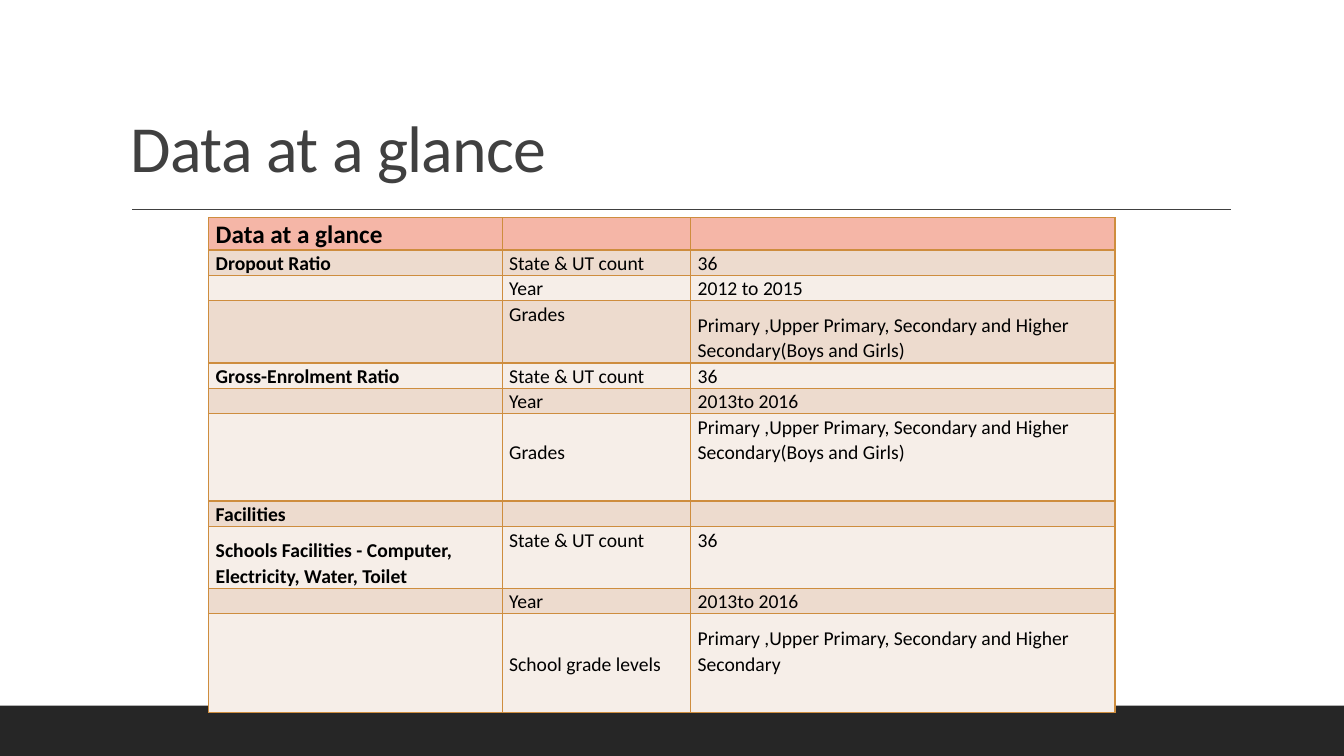
from lxml.etree import SubElement as Sub
from pptx import Presentation
from pptx.dml.color import RGBColor as RGB
from pptx.enum.shapes import MSO_CONNECTOR as Link, MSO_SHAPE as Shape
from pptx.enum.text import MSO_ANCHOR as Anchor
from pptx.oxml.ns import qn
from pptx.util import Inches, Pt

DARK = RGB(0x26, 0x26, 0x26)
GREY = RGB(0x40, 0x40, 0x40)
BLACK = RGB(0, 0, 0)
EDGE = RGB(0xCE, 0x8D, 0x3E)
HEAD = RGB(0xF5, 0xB6, 0xA7)
BANDS = RGB(0xF6, 0xEE, 0xE8), RGB(0xED, 0xDB, 0xCE)
FONT = "Calibri"
COUNT = "State & UT count"
LEVELS = "Primary ,Upper Primary, Secondary and Higher Secondary"
BOTH = LEVELS + "(Boys and Girls)"
LOW = 0.36  # bottom inset that lifts a text by one line

COLS = 2.91, 1.87, 4.21
# height, texts, bottom insets
ROWS = [
    (0.32, ("Data at a glance", "", ""), (0, 0, 0)),
    (0.25, ("Dropout Ratio", COUNT, "36"), (0, 0, 0)),
    (0.25, ("", "Year", "2012 to 2015"), (0, 0, 0)),
    (0.62, ("", "Grades", BOTH), (0, LOW, 0)),
    (0.25, ("Gross-Enrolment Ratio", COUNT, "36"), (0, 0, 0)),
    (0.25, ("", "Year", "2013to 2016"), (0, 0, 0)),
    (0.87, ("", "Grades", BOTH), (0, LOW, LOW)),
    (0.25, ("Facilities", "", ""), (0, 0, 0)),
    (0.62, ("Schools Facilities - Computer, Electricity, Water, Toilet",
            COUNT, "36"), (0, LOW, LOW)),
    (0.25, ("", "Year", "2013to 2016"), (0, 0, 0)),
    (0.98, ("", "School grade levels", LEVELS), (0, LOW, LOW)),
]


def write(para, text, size, color, bold=False):
    run = para.add_run()
    run.text = text
    run.font.name = FONT
    run.font.size = Pt(size)
    run.font.bold = bold
    run.font.color.rgb = color
    return run


def frame(cell):
    """Draw the four borders of a cell; call it before the fill is set."""
    props = cell._tc.get_or_add_tcPr()
    for side in "LRTB":
        line = Sub(props, qn("a:ln" + side), w=str(Pt(1)))
        fill = Sub(line, qn("a:solidFill"))
        Sub(fill, qn("a:srgbClr"), val=str(EDGE))


deck = Presentation()
deck.slide_width = Inches(13.33)
deck.slide_height = Inches(7.5)
wide, high = deck.slide_width, deck.slide_height
slide = deck.slides.add_slide(deck.slide_layouts[6])
shapes = slide.shapes

# Footer bar and title rule
bar = shapes.add_shape(Shape.RECTANGLE, 0, Inches(7), wide, high - Inches(7))
bar.shadow.inherit = False
bar.fill.solid()
bar.fill.fore_color.rgb = DARK
bar.line.fill.background()

rule = shapes.add_connector(Link.STRAIGHT, Inches(1.31), Inches(2.08),
                            Inches(12.21), Inches(2.08))
rule.line.color.rgb = GREY
rule.line.width = Pt(1)
Sub(rule._element.spPr, qn("a:effectLst"))

# Title
title = shapes.add_textbox(Inches(1.2), Inches(0.31), Inches(11), Inches(1.59))
body = title.text_frame
body.word_wrap = True
body.vertical_anchor = Anchor.BOTTOM
para = body.paragraphs[0]
para.line_spacing = 0.9
run = write(para, "Data at a glance", 47, GREY)
run.font._element.set("spc", "-50")

# Table
tall = sum(row[0] for row in ROWS)
grid = shapes.add_table(len(ROWS), len(COLS), Inches(2.07), Inches(2.16),
                        Inches(sum(COLS)), Inches(tall)).table
for col, width in zip(grid.columns, COLS):
    col.width = Inches(width)

for r, (height, texts, lifts) in enumerate(ROWS):
    grid.rows[r].height = Inches(height)
    size = 14 if r else 18
    for c, (text, lift) in enumerate(zip(texts, lifts)):
        cell = grid.cell(r, c)
        frame(cell)
        cell.fill.solid()
        cell.fill.fore_color.rgb = BANDS[r % 2] if r else HEAD
        cell.margin_left = cell.margin_right = Inches(0.07)
        cell.margin_top = 0
        cell.margin_bottom = Inches(lift)
        cell.vertical_anchor = Anchor.BOTTOM
        para = cell.text_frame.paragraphs[0]
        para.line_spacing = 1.07
        para.space_after = Pt(8)
        if text:
            write(para, text, size, BLACK, c == 0)
        else:
            Sub(para._p, qn("a:endParaRPr"), sz=str(size * 100))

deck.save("out.pptx")
